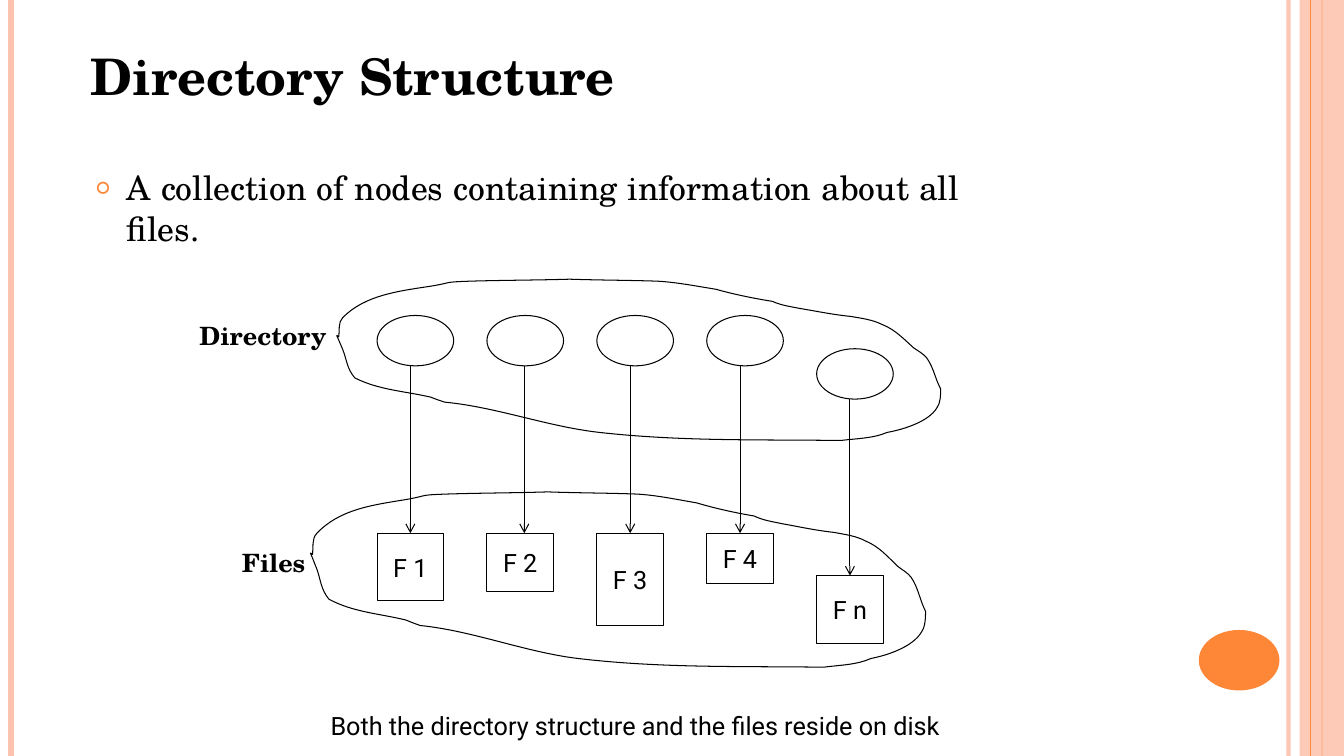
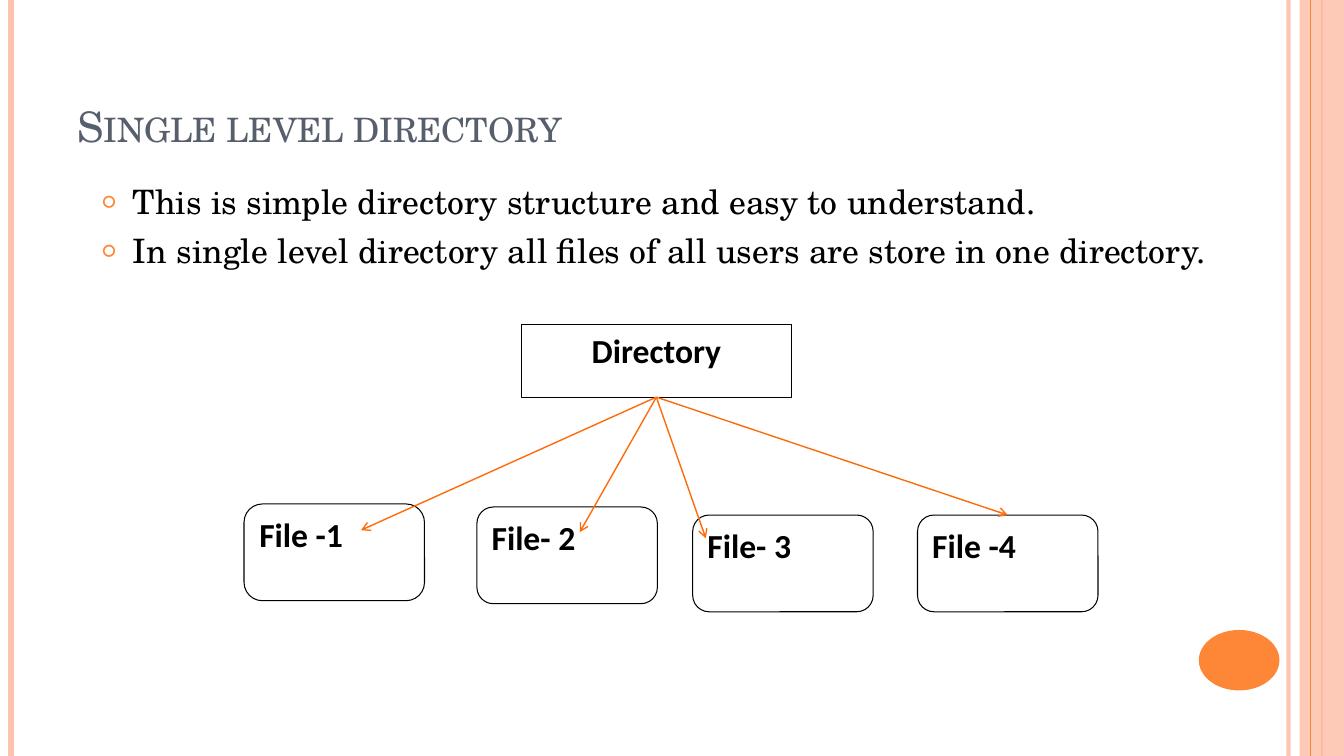
from lxml.etree import Element, SubElement
from pptx import Presentation
from pptx.dml.color import RGBColor
from pptx.enum.shapes import MSO_CONNECTOR, MSO_SHAPE as SHAPE
from pptx.enum.text import MSO_ANCHOR as ANCHOR, PP_ALIGN as ALIGN
from pptx.oxml.ns import qn
from pptx.util import Inches, Pt

BLACK, WHITE, SLATE = "000000", "FFFFFF", "575F6D"
ORANGE, PEACH, ARROW = "FE8637", "FEC3AE", "FF6B0A"
SERIF, SANS, BOX_FONT = "TeX Gyre Schola", "Roboto", "Calibri"
WIDTH, HEIGHT = 13.33, 7.5

COLLECTION = ["A collection of nodes containing information about all files."]
# label, drop of the node, drop of the file, file height, arrow offset
NODES = [("F 1", 0, 0, 0.67, 0.33), ("F 2", 0, 0, 0.58, 0.37),
         ("F 3", 0, 0, 0.92, 0.33), ("F 4", 0, 0, 0.5, 0.33),
         ("F n", 0.33, 0.42, 0.67, 0.33)]
NODE_LEFT, NODE_STEP, NODE_TOP, FILE_TOP = 3.74, 1.09, 3.13, 5.29
NODE_WIDTH, NODE_HEIGHT, FILE_WIDTH = 0.76, 0.5, 0.66
LABELS = [("Both the directory structure and the files reside on disk",
           3.18, 7, 8.14, 0.71, 18, SANS, False),
          ("Directory", 1.88, 3.13, 1.59, 0.4, 18, SERIF, True),
          ("Files", 2.3, 5.38, 1.17, 0.4, 18, SERIF, True),
          ("Directory Structure", 0.8, 0.4, 7.96, 0.71, 36, SERIF, True)]

CLOUD_BOX, FILES_BOX = (3.34, 2.77, 6, 1.61), (3.08, 4.88, 6.11, 1.75)
CLOUD_START = (3.36, 3.34)
CLOUD_CURVES = [
    (3.37, 3.28, 3.35, 3.2, 3.4, 3.15), (3.62, 2.93, 3.94, 2.89, 4.27, 2.84),
    (4.51, 2.8, 4.38, 2.8, 4.66, 2.79), (4.99, 2.78, 5.32, 2.78, 5.65, 2.77),
    (5.94, 2.78, 6.23, 2.78, 6.52, 2.79), (6.71, 2.8, 6.91, 2.84, 7.1, 2.87),
    (7.28, 2.92, 7.47, 2.96, 7.66, 2.99), (7.75, 3.03, 7.83, 3.04, 7.93, 3.06),
    (8.11, 3.09, 8.25, 3.12, 8.44, 3.14), (8.55, 3.16, 8.65, 3.17, 8.75, 3.22),
    (8.88, 3.27, 8.97, 3.37, 9.06, 3.45), (9.1, 3.48, 9.16, 3.51, 9.19, 3.55),
    (9.24, 3.62, 9.26, 3.69, 9.29, 3.77), (9.3, 3.8, 9.33, 3.86, 9.33, 3.86),
    (9.33, 3.91, 9.33, 4, 9.29, 4.05), (9.21, 4.18, 8.97, 4.26, 8.8, 4.29),
    (8.66, 4.35, 8.5, 4.35, 8.34, 4.37), (7.5, 4.36, 6.75, 4.38, 5.94, 4.29),
    (5.42, 4.23, 4.93, 4.04, 4.41, 3.99), (4.39, 3.98, 4.37, 3.98, 4.35, 3.97),
    (4.32, 3.96, 4.3, 3.95, 4.27, 3.94), (4.01, 3.88, 3.76, 3.87, 3.52, 3.75),
    (3.44, 3.66, 3.44, 3.57, 3.4, 3.47), (3.4, 3.47, 3.35, 3.35, 3.34, 3.33),
    (3.34, 3.32, 3.35, 3.34, 3.36, 3.34)]

SINGLE_LEVEL = [
    "This is simple directory structure and easy to understand.",
    "In single level directory all files of all users are store in one directory."]
# label, left, top, corner, arrow end (None: middle of the top side)
FILES = [("File -1", 2.42, 5, 0.19, (3.58, 5.26)),
         ("File- 2", 4.73, 5.03, 0.17, (5.75, 5.28)),
         ("File- 3", 6.87, 5.11, 0.17, (7, 5.34)),
         ("File -4", 9.1, 5.11, 0.17, None)]


def color(hex_code):
    return RGBColor.from_string(hex_code)


def set_alpha(shape, percent):
    tint = next(shape._element.spPr.iter(qn("a:srgbClr")))
    SubElement(tint, qn("a:alpha"), val=str(percent * 1000))


def add_bullet(paragraph):
    properties = paragraph._p.get_or_add_pPr()
    properties.set("marL", str(Inches(0.3)))
    properties.set("indent", str(Inches(-0.3)))
    tint = SubElement(properties, qn("a:buClr"))
    SubElement(tint, qn("a:srgbClr"), val=ORANGE)
    SubElement(properties, qn("a:buSzPct"), val="70000")
    SubElement(properties, qn("a:buFont"), typeface=BOX_FONT)
    SubElement(properties, qn("a:buChar"), char="○")


def write(shape, lines, size=18, font=SERIF, ink=BLACK, bold=False,
          align=ALIGN.LEFT, anchor=ANCHOR.TOP, wrap=True, bullet=False,
          small_caps=False, before=0, after=0):
    frame = shape.text_frame
    frame.word_wrap, frame.vertical_anchor = wrap, anchor
    for index, line in enumerate(lines):
        paragraph = frame.add_paragraph() if index else frame.paragraphs[0]
        paragraph.alignment = align
        paragraph.space_before = Pt(before if index else 0)
        paragraph.space_after = Pt(after)
        if bullet:
            add_bullet(paragraph)
        run = paragraph.add_run()
        run.text = line
        run.font.size, run.font.name, run.font.bold = Pt(size), font, bold
        run.font.color.rgb = color(ink)
        if small_caps:
            run._r.get_or_add_rPr().set("cap", "small")


def add_text(slide, box, lines, **style):
    write(slide.shapes.add_textbox(*map(Inches, box)), lines, **style)


def add_bullets(slide, box, lines):
    add_text(slide, box, lines, size=24, align=ALIGN.JUSTIFY, bullet=True, before=6)


def paint(shape, fill=None, line=None):
    shape.shadow.inherit = False
    if fill:
        shape.fill.solid()
        shape.fill.fore_color.rgb = color(fill)
    else:
        shape.fill.background()
    if line:
        shape.line.color.rgb = color(line)
        shape.line.width = Pt(0.75)
    else:
        shape.line.fill.background()


def add_box(slide, preset, box, fill=WHITE, line=BLACK):
    shape = slide.shapes.add_shape(preset, *map(Inches, box))
    paint(shape, fill, line)
    return shape


def add_line(slide, start, end, ink, width, arrow=False):
    line = slide.shapes.add_connector(MSO_CONNECTOR.STRAIGHT, *map(Inches, start + end))
    line.line.color.rgb = color(ink)
    line.line.width = Pt(width)
    properties = line._element.spPr
    if arrow:
        SubElement(properties.find(qn("a:ln")), qn("a:tailEnd"), type="arrow")
    SubElement(properties, qn("a:effectLst"))
    return line


def add_rule(slide, x, ink, width):
    return add_line(slide, (x, 0), (x, HEIGHT), ink, width)


def add_slide(deck):
    slide = deck.slides.add_slide(deck.slide_layouts[6])
    set_alpha(add_rule(slide, 12.78, PEACH, 3), 93)
    add_rule(slide, 0.11, PEACH, 4.5)
    add_rule(slide, 13.11, ORANGE, 1.5)
    band = add_box(slide, SHAPE.RECTANGLE, (12.89, 0, 0.44, HEIGHT), PEACH, None)
    set_alpha(band, 87)
    add_rule(slide, 13, ORANGE, 0.75)
    add_box(slide, SHAPE.OVAL, (11.89, 6.25, 0.8, 0.6), ORANGE, None)
    return slide


def add_cloud(slide, box):
    base_left, base_top, base_width, base_height = CLOUD_BOX
    left, top, width, height = box

    def place(x, y):
        return (Inches(left + (x - base_left) * width / base_width),
                Inches(top + (y - base_top) * height / base_height))

    outline = slide.shapes.build_freeform(*place(*CLOUD_START))
    outline.add_line_segments([place(*curve[4:]) for curve in CLOUD_CURVES], close=True)
    cloud = outline.convert_to_shape()
    paint(cloud, line=BLACK)
    segments = list(cloud._element.spPr.iter(qn("a:lnTo")))
    for segment, curve in zip(segments, CLOUD_CURVES):
        segment.tag = qn("a:cubicBezTo")
        for position, handle in enumerate((curve[:2], curve[2:4])):
            x, y = place(*handle)
            point = Element(qn("a:pt"), x=str(x - cloud.left), y=str(y - cloud.top))
            segment.insert(position, point)


def directory_structure(deck):
    slide = add_slide(deck)
    add_bullets(slide, (0.86, 1.61, 8.75, 5.25), COLLECTION)
    for index, (name, node_drop, file_drop, height, offset) in enumerate(NODES):
        left = NODE_LEFT + index * NODE_STEP
        node_top, file_top = NODE_TOP + node_drop, FILE_TOP + file_drop
        add_box(slide, SHAPE.OVAL, (left, node_top, NODE_WIDTH, NODE_HEIGHT))
        file_box = add_box(slide, SHAPE.RECTANGLE, (left, file_top, FILE_WIDTH, height))
        write(file_box, [name], font=SANS, align=ALIGN.CENTER,
              anchor=ANCHOR.MIDDLE, wrap=False)
        x = left + offset
        arrow = add_line(slide, (x, node_top + NODE_HEIGHT), (x, file_top), BLACK, 0.75, True)
        if offset == FILE_WIDTH / 2:
            arrow.end_connect(file_box, 0)
    for box in (CLOUD_BOX, FILES_BOX):
        add_cloud(slide, box)
    for label, left, top, width, height, size, font, bold in LABELS:
        add_text(slide, (left, top, width, height), [label], size=size, font=font, bold=bold)


def single_level_directory(deck):
    slide = add_slide(deck)
    add_text(slide, (0.67, 0.3, 10.89, 1.25), ["Single level directory"], size=30,
             ink=SLATE, anchor=ANCHOR.BOTTOM, small_caps=True)
    add_bullets(slide, (0.92, 1.75, 11.5, 5.33), SINGLE_LEVEL)
    style = dict(size=24, font=BOX_FONT, bold=True, after=10)
    directory = add_box(slide, SHAPE.RECTANGLE, (5.17, 3.22, 2.68, 0.72))
    write(directory, ["Directory"], align=ALIGN.CENTER, **style)
    for name, left, top, corner, target in FILES:
        file_box = add_box(slide, SHAPE.ROUNDED_RECTANGLE, (left, top, 1.79, 0.96))
        file_box.adjustments[0] = corner
        write(file_box, [name], **style)
        arrow = add_line(slide, (6.51, 3.94), target or (10, top), ARROW, 1, True)
        arrow.begin_connect(directory, 2)
        if target is None:
            arrow.end_connect(file_box, 0)


def main():
    """Build the two directory slides."""
    deck = Presentation()
    deck.slide_width, deck.slide_height = Inches(WIDTH), Inches(HEIGHT)
    directory_structure(deck)
    single_level_directory(deck)
    deck.save("out.pptx")


if __name__ == "__main__":
    main()
